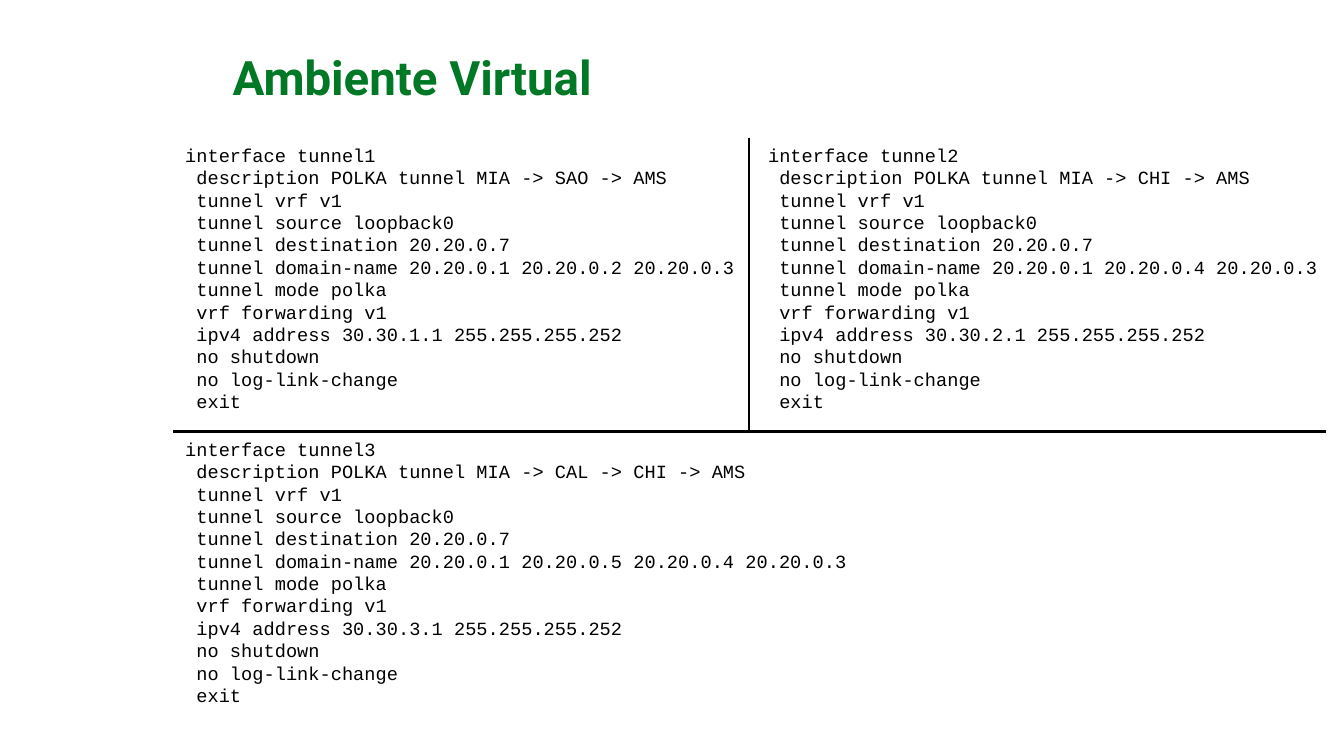
from lxml.etree import SubElement
from pptx import Presentation
from pptx.dml.color import RGBColor
from pptx.enum.shapes import MSO_CONNECTOR
from pptx.enum.text import MSO_AUTO_SIZE
from pptx.oxml.ns import qn
from pptx.util import Pt

GREEN = RGBColor(0x00, 0x78, 0x26)
BLACK = RGBColor(0x00, 0x00, 0x00)

LEFT, RIGHT = 102.24, 782.64
TOP, MIDDLE = 81.36, 254.88
DIVIDER = 442.08
CONFIG_HEIGHT = 167.04
HALF_WIDTH = 345.6

TUNNELS = [
    (1, ["SAO"], [2], LEFT, TOP, HALF_WIDTH),
    (3, ["CAL", "CHI"], [5, 4], LEFT, MIDDLE, RIGHT - LEFT),
    (2, ["CHI"], [4], 446.4, TOP, HALF_WIDTH),
]


def tunnel_config(number, cities, hops):
    route = " -> ".join(["MIA", *cities, "AMS"])
    domains = " ".join(f"20.20.0.{hop}" for hop in [1, *hops, 3])
    return [
        f"interface tunnel{number}",
        f" description POLKA tunnel {route}",
        " tunnel vrf v1",
        " tunnel source loopback0",
        " tunnel destination 20.20.0.7",
        f" tunnel domain-name {domains}",
        " tunnel mode polka",
        " vrf forwarding v1",
        f" ipv4 address 30.30.{number}.1 255.255.255.252",
        " no shutdown",
        " no log-link-change",
        " exit",
    ]


class TunnelSlide:
    title_font = "Roboto"
    code_font = "Courier New"

    def __init__(self, slide):
        self.slide = slide

    def text(self, lines, left, top, width, height, font, size, color, bold=False, spacing=1.0):
        box = self.slide.shapes.add_textbox(Pt(left), Pt(top), Pt(width), Pt(height))
        frame = box.text_frame
        frame.word_wrap = True
        for index, line in enumerate(lines):
            paragraph = frame.add_paragraph() if index else frame.paragraphs[0]
            paragraph.line_spacing = spacing
            run = paragraph.add_run()
            run.text = line
            run.font.name = font
            run.font.size = Pt(size)
            run.font.bold = bold
            run.font.color.rgb = color
        return frame

    def title(self, wording):
        self.text([wording], 130.32, 24.48, 504.72, 41.04,
                  self.title_font, 28, GREEN, bold=True, spacing=1.01)

    def config(self, lines, left, top, width):
        frame = self.text(lines, left, top, width, CONFIG_HEIGHT, self.code_font, 11, BLACK)
        frame.auto_size = MSO_AUTO_SIZE.SHAPE_TO_FIT_TEXT

    def rule(self, x1, y1, x2, y2):
        rule = self.slide.shapes.add_connector(
            MSO_CONNECTOR.STRAIGHT, Pt(x1), Pt(y1), Pt(x2), Pt(y2))
        rule.line.color.rgb = BLACK
        rule.line.width = Pt(1.5)
        SubElement(rule._element.spPr, qn("a:effectLst"))


def main():
    presentation = Presentation()
    presentation.slide_width = Pt(793.44)
    presentation.slide_height = Pt(446.4)
    page = TunnelSlide(presentation.slides.add_slide(presentation.slide_layouts[6]))

    page.title("Ambiente Virtual")
    for number, cities, hops, left, top, width in TUNNELS:
        page.config(tunnel_config(number, cities, hops), left, top, width)
    page.rule(LEFT, MIDDLE, RIGHT, MIDDLE)
    page.rule(DIVIDER, TOP, DIVIDER, MIDDLE)

    presentation.save("out.pptx")


if __name__ == "__main__":
    main()
